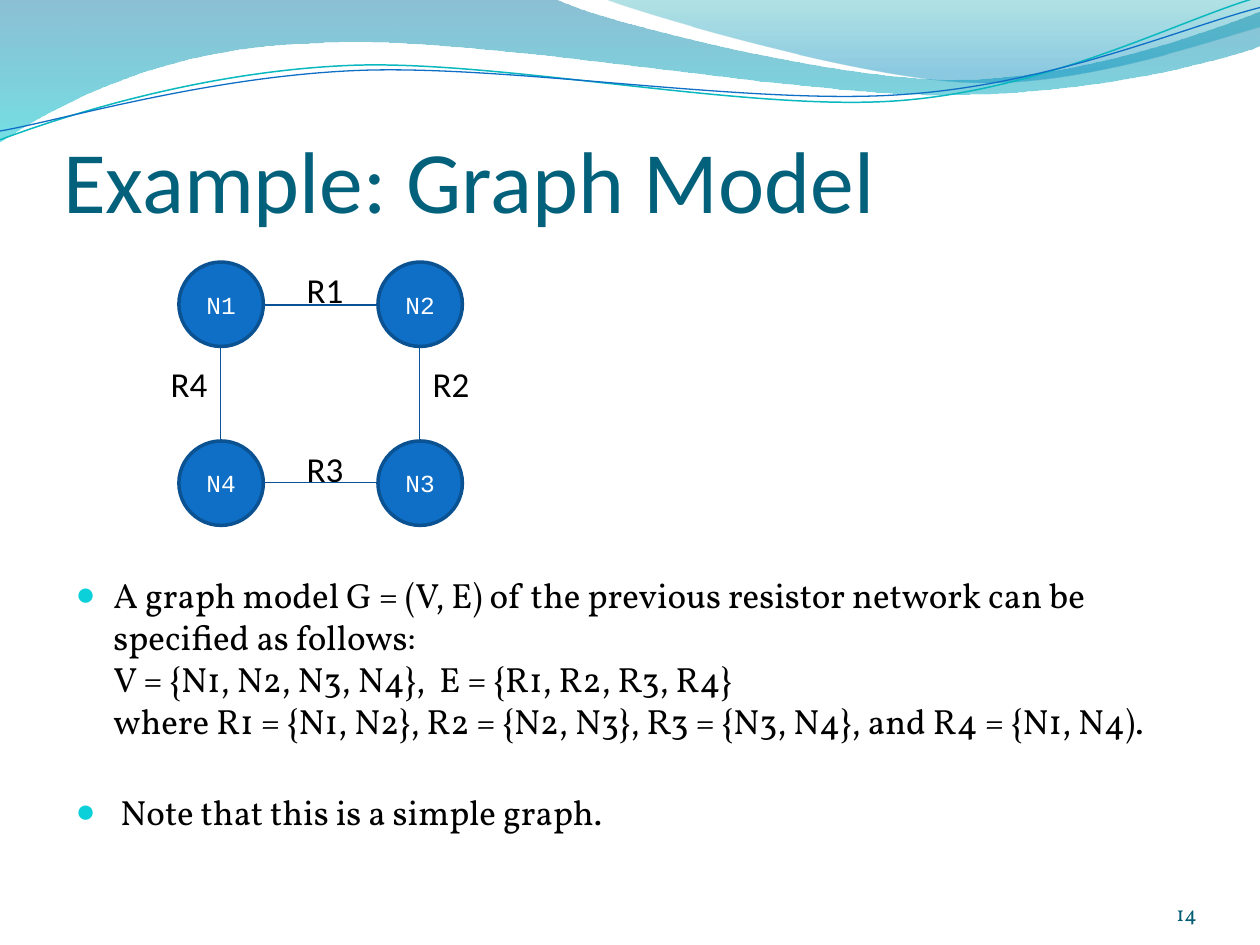
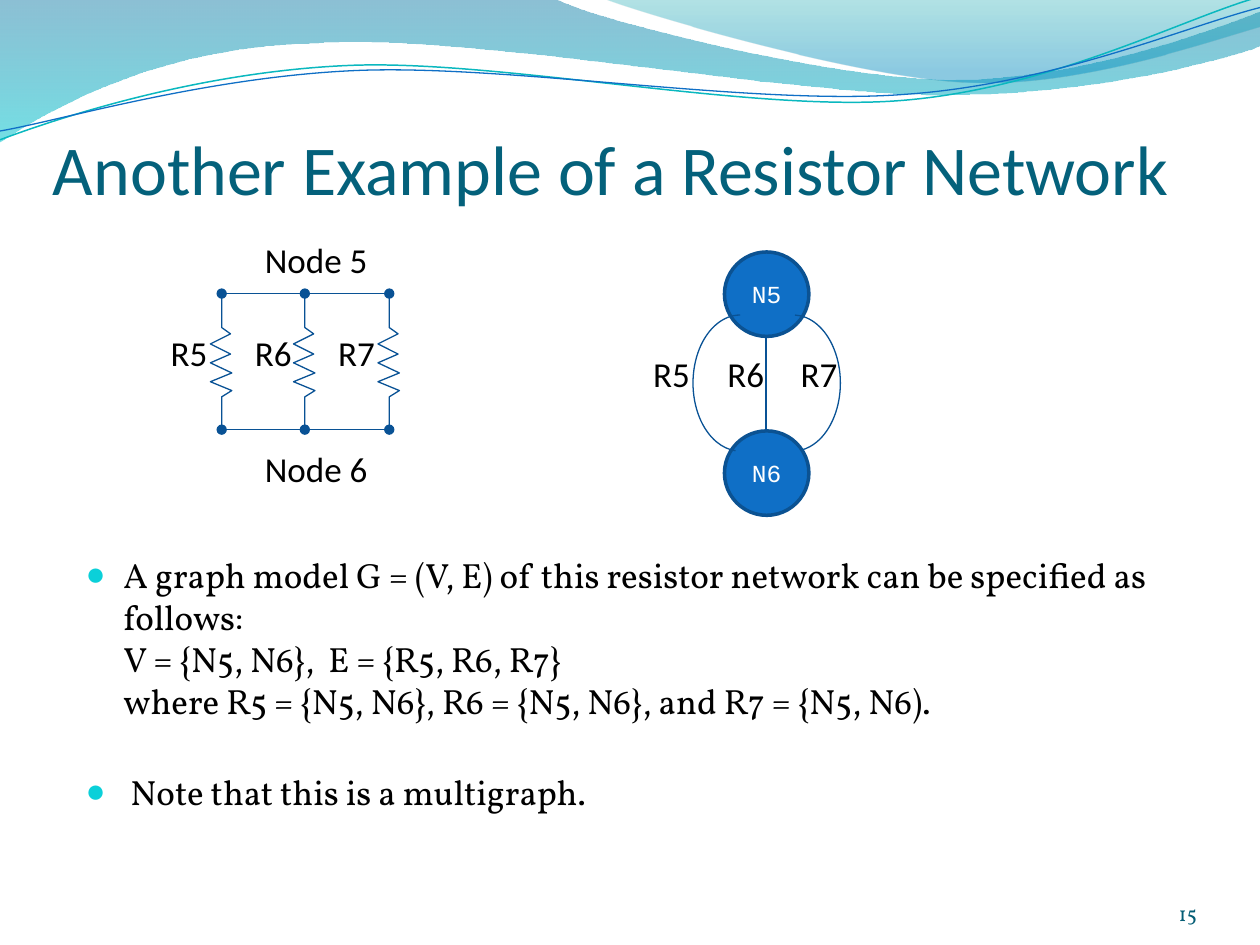
from lxml.etree import SubElement
from pptx import Presentation
from pptx.dml.color import RGBColor
from pptx.enum.shapes import MSO_CONNECTOR as CONNECTOR, MSO_SHAPE as SHAPE
from pptx.enum.text import MSO_ANCHOR as ANCHOR, MSO_AUTO_SIZE as AUTO_SIZE, PP_ALIGN as ALIGN
from pptx.oxml.ns import qn
from pptx.util import Inches, Pt

hex_colour = RGBColor.from_string
HEADING_FONT, BODY_FONT, NODE_FONT = "Calibri", "Vollkorn", "Courier New"
TITLE, NUMBER, BLACK, WHITE = "04617B", "045D75", "000000", "FFFFFF"
NODE_FILL, NODE_LINE, EDGE, BULLET = "0F6FC6", "0B5292", "095295", "0BD0D9"
NODE_SIZE = 0.67
LABEL_HEIGHT = 0.44


def write(para, text, size, font, colour):
    span = para.add_run()
    span.text = text
    span.font.size = Pt(size)
    span.font.name = font
    span.font.color.rgb = hex_colour(colour)


def outline(page, points, closed=False):
    points = [(Inches(x), Inches(y)) for x, y in points]
    builder = page.shapes.build_freeform(*points[0])
    builder.add_line_segments(points[1:], close=closed)
    shape = builder.convert_to_shape()
    shape.shadow.inherit = False
    shape.fill.background()
    shape.line.fill.background()
    return shape


WAVES = [
    {"segments": [(0, 0), (4.4, -0.01), (4.76, 0.17, 6.64, 0.63, 7.58, 0.63),
                  (8.53, 0.63, 9.58, 0.26, 10, 0.09), (10.01, 0.36),
                  (9.83, 0.44, 8.7, 0.76, 7.46, 0.75), (6.22, 0.75, 3.82, 0.28, 2.57, 0.34),
                  (1.29, 0.36, 0.46, 0.83, -0.01, 1.13), (0, 0)],
     "gradient": [(0, "0074A1", 45), (1, "00C6CF", 55)]},
    {"segments": [(4.79, -0.01), (5.09, 0.11, 6.82, 0.62, 7.69, 0.65),
                  (8.56, 0.69, 9.61, 0.32, 10, 0.21), (10, 0), (4.79, -0.01)],
     "gradient": [(0, "00A1A9", 30), (0.8, "008BBF", 45)]},
    {"segments": [(0, 1.11), (0.48, 0.93, 1.58, 0.57, 2.77, 0.52),
                  (3.95, 0.47, 5.93, 0.89, 7.13, 0.8), (8.33, 0.71, 9.38, 0.15, 9.98, -0.02)],
     "line": ("0AB8BF", 0.85)},
    {"segments": [(0, 1.04), (0.47, 0.96, 1.64, 0.61, 2.83, 0.56),
                  (4.03, 0.51, 5.97, 0.84, 7.17, 0.75), (8.36, 0.67, 9.41, 0.21, 10, 0.06)],
     "line": ("0F6FC6", 0.75)},
]

RESISTOR = [(0, 2.33), (0, 2.6), (0.07, 2.65), (-0.09, 2.73), (0.07, 2.81), (-0.09, 2.88),
            (0.08, 2.96), (-0.09, 3.03), (0.08, 3.1), (0, 3.15), (0, 3.41)]

PAGES = [
    {"number": "14", "title": "Example: Graph Model", "title_size": 50,
     "title_at": (0.5, 0.77, 9.08, 1.06), "body_at": (0.5, 4.5),
     "nodes": [("N1", 1.42, 2.08), ("N2", 3, 2.08), ("N3", 3, 3.5), ("N4", 1.42, 3.5)],
     "labels": [("R1", 2.33, 2.08, 0.5), ("R2", 3.33, 2.83, 0.5),
                ("R3", 2.33, 3.5, 0.5), ("R4", 1.25, 2.83, 0.5)],
     "edges": [(1.75, 2.75, 1.75, 3.5), (2.08, 2.42, 3, 2.42),
               (3.33, 2.75, 3.33, 3.5), (2.08, 3.83, 3, 3.83)],
     "resistors": [], "arcs": [],
     "bullets": [["A graph model G = (V, E) of the previous resistor network can be specified as follows:",
                  "V = {N1, N2, N3, N4},  E = {R1, R2, R3, R4}",
                  "where R1 = {N1, N2}, R2 = {N2, N3}, R3 = {N3, N4}, and R4 = {N1, N4)."],
                 [" Note that this is a simple graph."]]},
    {"number": "15", "title": "Another Example of a Resistor Network", "title_size": 40,
     "title_at": (0.42, 0.83, 9.42, 0.83), "body_at": (0.58, 4.34),
     "nodes": [("N5", 5.75, 2), ("N6", 5.75, 3.42)],
     "labels": [("Node 5", 2, 1.84, 1.02), ("Node 6", 2, 3.5, 1.02),
                ("R5", 1.25, 2.58, 0.5), ("R6", 1.92, 2.58, 0.5), ("R7", 2.58, 2.58, 0.5),
                ("R5", 5.08, 2.75, 0.5), ("R6", 5.67, 2.75, 0.5), ("R7", 6.25, 2.75, 0.5)],
     "edges": [(1.75, 2.33, 3.08, 2.33), (1.75, 3.41, 3.09, 3.41), (6.08, 2.67, 6.08, 3.42)],
     "resistors": [1.76, 2.42, 3.09],
     "arcs": [(5.92, False, 162.94, 49.52), (5.5, True, 162, 51.6)],
     "bullets": [["A graph model G = (V, E) of this resistor network can be specified as follows:",
                  "V = {N5, N6},  E = {R5, R6, R7}",
                  "where R5 = {N5, N6}, R6 = {N5, N6}, and R7 = {N5, N6)."],
                 [" Note that this is a multigraph."]]},
]

deck = Presentation()
deck.slide_width, deck.slide_height = Inches(10), Inches(7.5)
layout = deck.slide_layouts[1]
for holder in list(layout.placeholders)[2:]:
    layout.shapes._spTree.remove(holder._element)
pages = [deck.slides.add_slide(layout) for content in PAGES]

for index, wave in enumerate(WAVES):
    segments = wave["segments"]
    points = [pair for segment in segments for pair in zip(segment[::2], segment[1::2])]
    shape = outline(pages[0], points, closed="gradient" in wave)
    strokes = iter(list(shape._element.iter(qn("a:lnTo"))))
    for segment in segments[1:]:
        stroke = next(strokes)
        if len(segment) == 6:
            stroke.addprevious(curve := stroke.makeelement(qn("a:cubicBezTo")))
            for corner in (stroke, next(strokes), next(strokes)):
                curve.append(corner[0])
                corner.getparent().remove(corner)
    if "gradient" in wave:
        shape.fill.gradient()
        shape.fill.gradient_angle = 270
        for stop, (position, colour, opacity) in zip(shape.fill.gradient_stops, wave["gradient"]):
            stop.position = position
            stop.color.rgb = hex_colour(colour)
        for tint, (position, colour, opacity) in zip(shape._element.iter(qn("a:srgbClr")), wave["gradient"]):
            SubElement(tint, qn("a:alpha"), val=str(opacity * 1000))
    else:
        colour, width = wave["line"]
        shape.line.color.rgb = hex_colour(colour)
        shape.line.width = Pt(width)
    shape._element.nvSpPr.cNvPr.set("id", str(20 + index))
    layout.shapes._spTree.append(shape._element)

for page, content in zip(pages, PAGES):
    title, body = page.placeholders
    title.left, title.top, title.width, title.height = map(Inches, content["title_at"])
    frame = title.text_frame
    frame.auto_size = AUTO_SIZE.NONE
    frame.vertical_anchor = ANCHOR.BOTTOM
    frame.margin_left = frame.margin_right = frame.margin_bottom = 0
    frame.margin_top = Inches(0.05)
    frame.paragraphs[0].alignment = ALIGN.LEFT
    write(frame.paragraphs[0], content["title"], content["title_size"], HEADING_FONT, TITLE)

    body.left, body.top = map(Inches, content["body_at"])
    body.width, body.height = Inches(9), Inches(2.25)
    frame = body.text_frame
    frame.auto_size = AUTO_SIZE.NONE
    for index, lines in enumerate(content["bullets"]):
        para = frame.add_paragraph() if index else frame.paragraphs[0]
        para.space_before = Pt(28 if index else 4)
        for row, line in enumerate(lines):
            if row:
                para.add_line_break()
            write(para, line, 20, BODY_FONT, BLACK)
        properties = para._p.get_or_add_pPr()
        properties.set("marL", str(Inches(0.3)))
        properties.set("indent", str(Inches(-0.3)))
        SubElement(SubElement(properties, qn("a:buClr")), qn("a:srgbClr"), val=BULLET)
        SubElement(properties, qn("a:buSzPct"), val="95000")
        SubElement(properties, qn("a:buChar"), char="●")

    box = page.shapes.add_textbox(Inches(8.67), Inches(6.95), Inches(0.83), Inches(0.4))
    frame = box.text_frame
    frame.word_wrap = True
    frame.vertical_anchor = ANCHOR.BOTTOM
    frame.margin_left = frame.margin_right = frame.margin_top = frame.margin_bottom = 0
    frame.paragraphs[0].alignment = ALIGN.RIGHT
    write(frame.paragraphs[0], content["number"], 12, BODY_FONT, NUMBER)

    for x in content["resistors"]:
        resistor = outline(page, [(x + dx, y) for dx, y in RESISTOR])
        resistor.line.color.rgb = hex_colour(EDGE)
        resistor.line.width = Pt(0.75)
        for end in ("a:headEnd", "a:tailEnd"):
            SubElement(resistor.line._get_or_add_ln(), qn(end), type="oval")

    for name, left, top in content["nodes"]:
        node = page.shapes.add_shape(SHAPE.OVAL, Inches(left), Inches(top), Inches(NODE_SIZE), Inches(NODE_SIZE))
        node.shadow.inherit = False
        node.fill.solid()
        node.fill.fore_color.rgb = hex_colour(NODE_FILL)
        node.line.color.rgb = hex_colour(NODE_LINE)
        node.line.width = Pt(2)
        node.text_frame.vertical_anchor = ANCHOR.MIDDLE
        node.text_frame.paragraphs[0].alignment = ALIGN.CENTER
        write(node.text_frame.paragraphs[0], name, 14, NODE_FONT, WHITE)

    for name, left, top, width in content["labels"]:
        label = page.shapes.add_textbox(Inches(left), Inches(top), Inches(width), Inches(LABEL_HEIGHT))
        label.text_frame.word_wrap = False
        label.text_frame.auto_size = AUTO_SIZE.SHAPE_TO_FIT_TEXT
        label.text_frame.paragraphs[0].alignment = ALIGN.CENTER
        write(label.text_frame.paragraphs[0], name, 20, HEADING_FONT, BLACK)

    for ends in content["edges"]:
        edge = page.shapes.add_connector(CONNECTOR.STRAIGHT, *map(Inches, ends))
        edge.line.color.rgb = hex_colour(EDGE)
        edge.line.width = Pt(0.75)
        SubElement(edge._element.spPr, qn("a:effectLst"))

    for left, flipped, start, end in content["arcs"]:
        arc = page.shapes.add_shape(SHAPE.ARC, Inches(left), Inches(2.5), Inches(0.75), Inches(1.08))
        arc.shadow.inherit = False
        arc.fill.background()
        arc.line.color.rgb = hex_colour(EDGE)
        arc.line.width = Pt(0.75)
        arc.adjustments[0], arc.adjustments[1] = start, end
        if flipped:
            arc._element.spPr.get_or_add_xfrm().set("flipH", "1")

deck.save("out.pptx")
